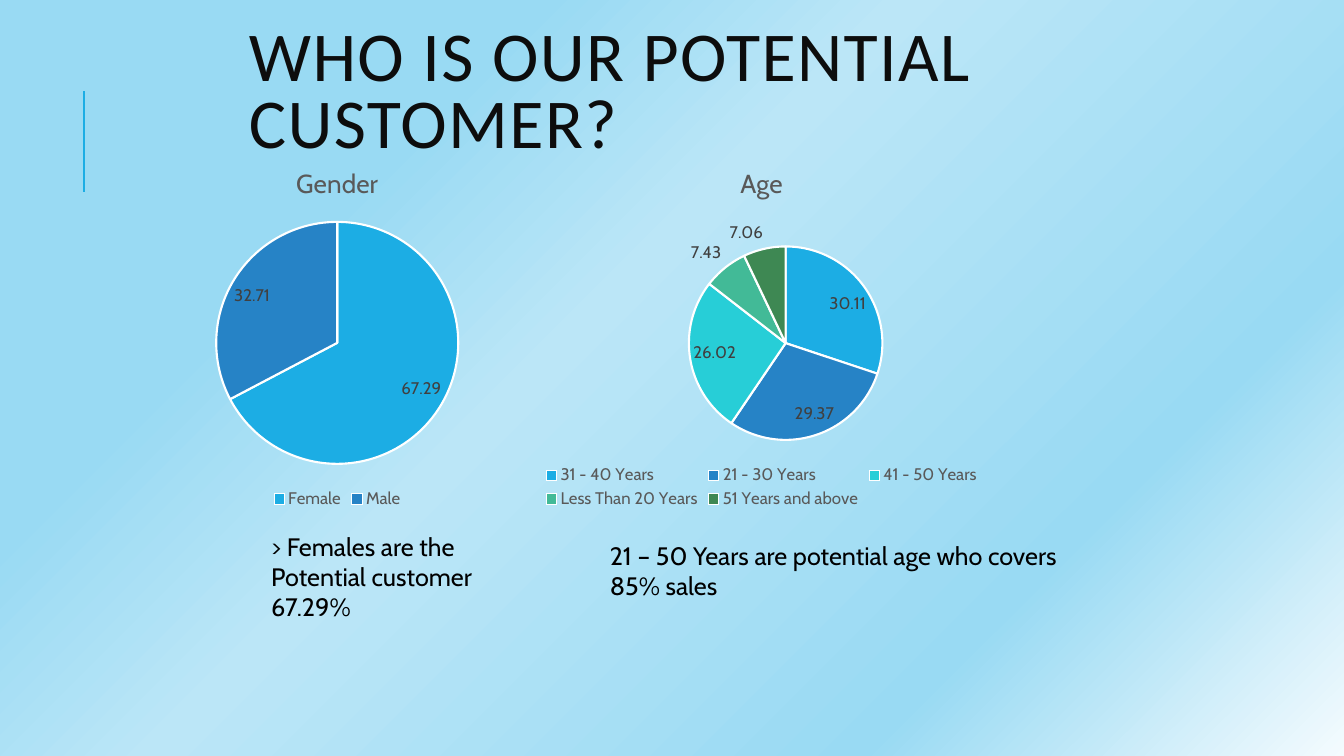
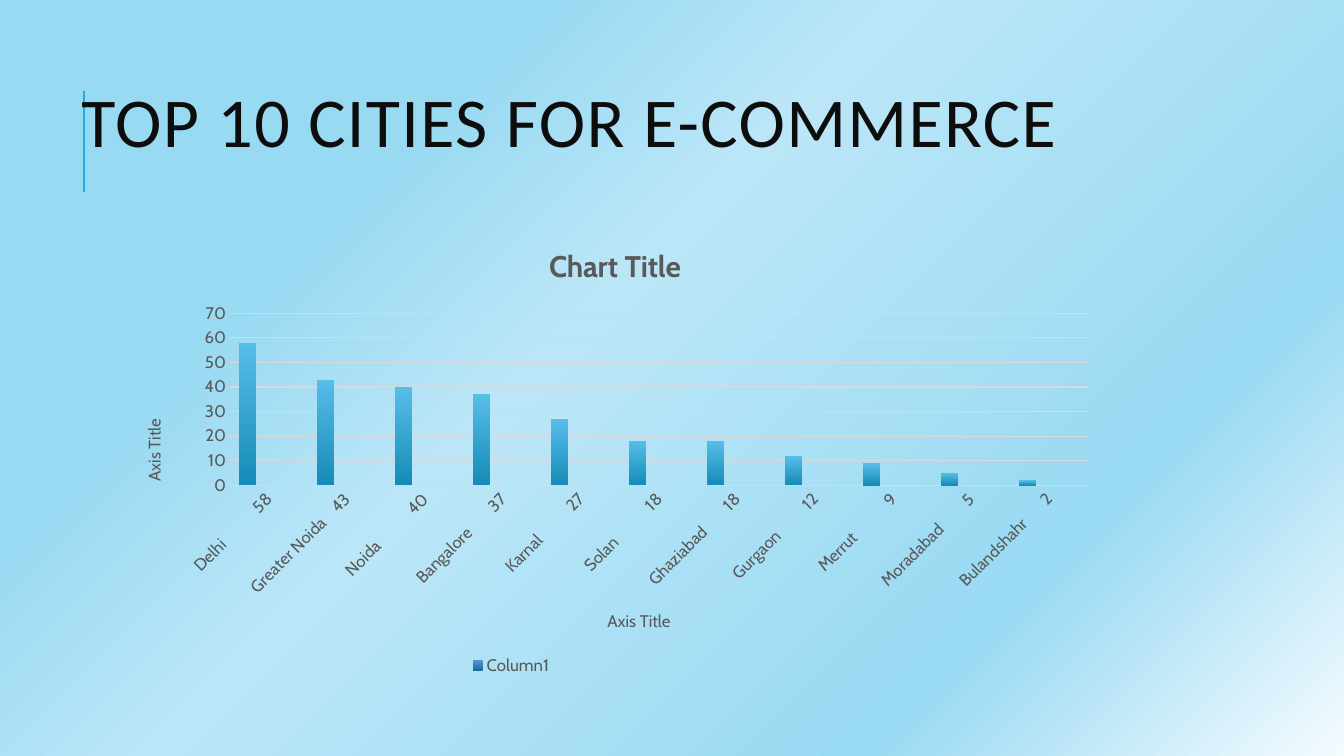
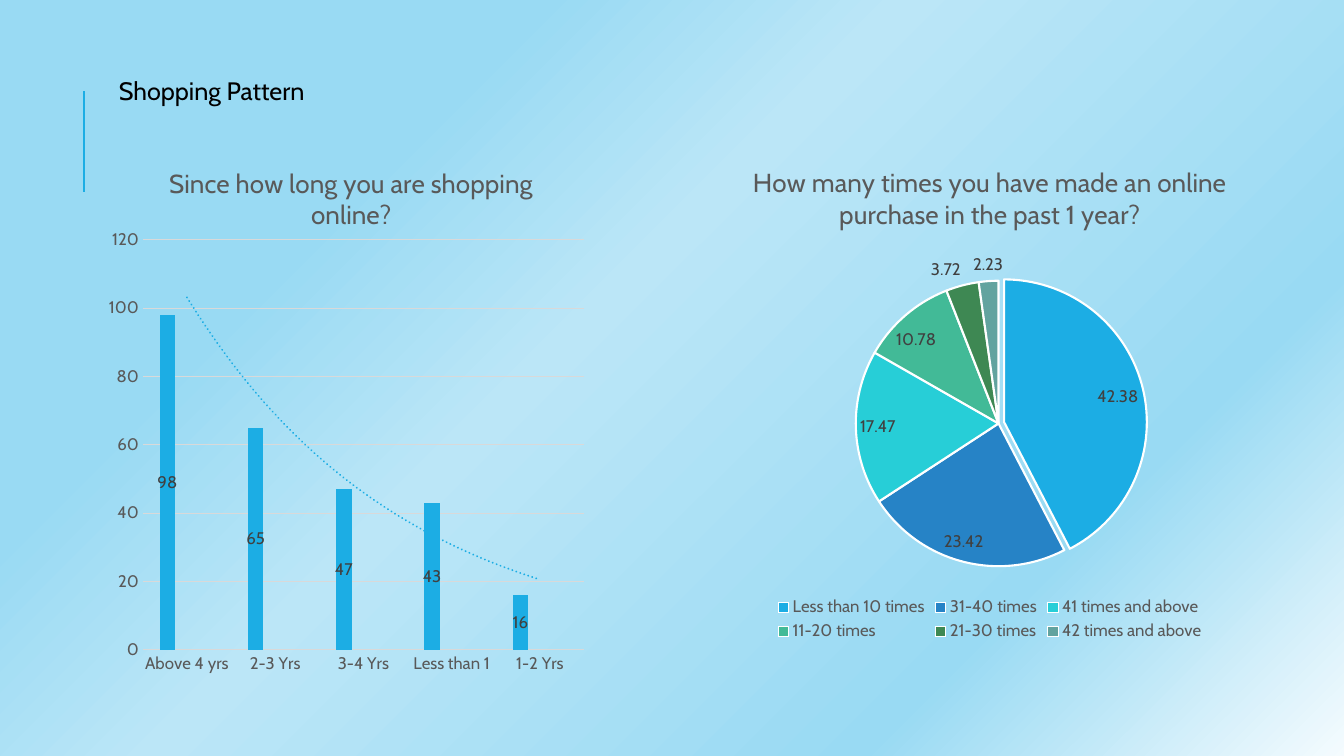
from lxml.etree import SubElement
from pptx import Presentation
from pptx.chart.data import CategoryChartData
from pptx.dml.color import RGBColor
from pptx.enum.chart import XL_CHART_TYPE as ChartType
from pptx.enum.chart import XL_LABEL_POSITION as LabelPosition
from pptx.enum.chart import XL_LEGEND_POSITION as LegendPosition
from pptx.enum.chart import XL_TICK_MARK as TickMark
from pptx.enum.shapes import MSO_CONNECTOR as Connector
from pptx.enum.text import MSO_ANCHOR as Anchor
from pptx.enum.text import MSO_AUTO_SIZE as AutoSize
from pptx.oxml import parse_xml
from pptx.oxml.ns import nsdecls, qn
from pptx.util import Inches, Pt

COLORS = {
    "accent": "1CADE4",
    "title": "0D0D0D",
    "text": "000000",
    "chart_text": "595959",
    "label": "404040",
    "grid": "D9D9D9",
    "white": "FFFFFF",
}
SLICES = ["1CADE4", "2683C6", "27CED7", "42BA97", "3E8853", "62A39F"]
BAR_GRADIENTS = [("57BDE9", "168BB7"), ("5598CF", "1E699F"), ("5AD7DE", "1FA5AD")]
BACKGROUND = [(0, "F4FBFE"), (23, "99DAF3"), (57, "BBE6F7"), (74, "99DAF3")]
CITIES = {
    "Delhi": 58, "Greater Noida": 43, "Noida": 40, "Bangalore": 37,
    "Karnal": 27, "Solan": 18, "Ghaziabad": 18, "Gurgaon": 12,
    "Merrut": 9, "Moradabad": 5, "Bulandshahr": 2,
}
GENDERS = {"Female": 67.29, "Male": 32.71}
AGES = {
    "31 - 40 Years": 30.11, "21 - 30 Years": 29.37, "41 - 50 Years": 26.02,
    "Less Than 20 Years": 7.43, "51 Years and above": 7.06,
}
YEARS_ONLINE = {"Above 4 yrs": 98, "2-3 Yrs": 65, "3-4 Yrs": 47, "Less than 1": 43, "1-2 Yrs": 16}
PURCHASES = {
    "Less than 10 times": 42.38, "31-40 times": 23.42, "41 times and above": 17.47,
    "11-20 times": 10.78, "21-30 times": 3.72, "42 times and above": 2.23,
}


def rgb(value):
    return RGBColor.from_string(COLORS.get(value, value))


def manual_layout(**settings):
    layout = parse_xml(f"<c:layout {nsdecls('c')}><c:manualLayout/></c:layout>")
    for name, value in settings.items():
        SubElement(layout[0], qn(f"c:{name}")).set("val", str(value))
    return layout


class DeckBuilder:
    body_font = "Cabin"
    title_font = "Calibri"

    def __init__(self):
        self.deck = Presentation()
        self.deck.slide_width, self.deck.slide_height = Inches(13.33), Inches(7.5)
        self.page = None
        self.paint_background()

    def paint_background(self):
        master = self.deck.slide_master
        master.background.fill.gradient()
        default = master.element.xpath("./p:cSld/p:bg/p:bgPr/a:gradFill")[0]
        stops = "".join(
            f'<a:gs pos="{position * 1000}"><a:srgbClr val="{color}"/></a:gs>'
            for position, color in BACKGROUND
        )
        gradient = parse_xml(
            f'<a:gradFill {nsdecls("a")} rotWithShape="1"><a:gsLst>{stops}</a:gsLst>'
            '<a:path path="circle"><a:fillToRect l="100000" t="100000"/></a:path></a:gradFill>'
        )
        default.getparent().replace(default, gradient)

    def add_page(self):
        self.page = self.deck.slides.add_slide(self.deck.slide_layouts[6])
        rule = self.page.shapes.add_connector(
            Connector.STRAIGHT, Inches(0.83), Inches(1.9), Inches(0.83), Inches(0.9)
        )
        rule.line.color.rgb = rgb("accent")
        rule.line.width = Pt(1.5)
        SubElement(rule.element.spPr, qn("a:effectLst"))

    def style(self, font, size, color, name=None, bold=False):
        font.name = name or self.body_font
        font.size = Pt(size)
        font.bold = bold
        font.color.rgb = rgb(color)

    def add_title(self, text, left, top):
        box = self.page.shapes.add_textbox(Inches(left), Inches(top), Inches(10.29), Inches(1.53))
        frame = box.text_frame
        frame.word_wrap = True
        frame.vertical_anchor = Anchor.MIDDLE
        frame.text = text
        para = frame.paragraphs[0]
        para.line_spacing = 0.8
        span = para.runs[0]
        self.style(span.font, 50, "title", self.title_font)
        span.font._element.set("spc", "100")

    def add_text(self, text, left, top, width, height):
        box = self.page.shapes.add_textbox(Inches(left), Inches(top), Inches(width), Inches(height))
        frame = box.text_frame
        frame.word_wrap = False
        frame.auto_size = AutoSize.SHAPE_TO_FIT_TEXT
        frame.text = text
        for para in frame.paragraphs:
            self.style(para.runs[0].font, 18, "text")

    def caption(self, frame, text, size, bold=False):
        frame.text = text
        self.style(frame.paragraphs[0].runs[0].font, size, "chart_text", bold=bold)

    def add_chart(self, kind, title, values, series_names, area, title_size=18.6, bold=False):
        data = CategoryChartData()
        data.categories = list(values)
        data.add_series(series_names[0], list(values.values()))
        for name in series_names[1:]:
            data.add_series(name, [None] * len(values))
        frame = self.page.shapes.add_chart(kind, *map(Inches, area), data)
        chart = frame.chart
        self.style(chart.font, 10, "text")
        chart.has_title = True
        self.caption(chart.chart_title.text_frame, title, title_size, bold)
        chart.chart_title.include_in_layout = False
        chart.has_legend = False
        return chart

    def add_legend(self, chart):
        chart.has_legend = True
        chart.legend.position = LegendPosition.BOTTOM
        chart.legend.include_in_layout = False
        self.style(chart.legend.font, 12, "chart_text")

    def label_values(self, series, position):
        labels = series.data_labels
        labels.show_value = True
        labels.position = position
        self.style(labels.font, 12, "label")

    def add_pie(self, title, values, area, series_name=None, explosion=0):
        chart = self.add_chart(ChartType.PIE, title, values, [series_name or title], area)
        self.add_legend(chart)
        chart.plots[0].vary_by_categories = True
        series = chart.plots[0].series[0]
        for index, color in enumerate(SLICES[:len(values)]):
            look = series.points[index].format
            look.fill.solid()
            look.fill.fore_color.rgb = rgb(color)
            look.line.color.rgb = rgb("white")
            look.line.width = Pt(1.5)
        self.label_values(series, LabelPosition.BEST_FIT)
        if explosion:
            first = series._element.xpath("./c:dPt/c:spPr")[0]
            first.addprevious(parse_xml(f'<c:explosion {nsdecls("c")} val="{explosion}"/>'))

    def add_columns(self, title, values, names, area, gap, overlap, **title_style):
        chart = self.add_chart(ChartType.COLUMN_CLUSTERED, title, values, names, area, **title_style)
        plot = chart.plots[0]
        plot.vary_by_categories = False
        plot.gap_width, plot.overlap = gap, overlap
        for axis in (chart.category_axis, chart.value_axis):
            axis.major_tick_mark = axis.minor_tick_mark = TickMark.NONE
            self.style(axis.tick_labels.font, 12, "chart_text")
        chart.category_axis.format.line.color.rgb = rgb("grid")
        chart.category_axis.format.line.width = Pt(0.75)
        chart.value_axis.format.line.fill.background()
        grid = chart.value_axis.major_gridlines.format.line
        grid.color.rgb = rgb("grid")
        grid.width = Pt(0.75)
        return chart

    def add_axis_titles(self, chart, text):
        for axis in (chart.category_axis, chart.value_axis):
            self.caption(axis.axis_title.text_frame, text, 12)
        upright = chart.value_axis.axis_title._element.xpath(".//a:bodyPr")[0]
        upright.set("rot", "-5400000")
        upright.set("vert", "horz")

    def add_trend(self, series):
        trend = parse_xml(
            f'<c:trendline {nsdecls("c", "a")}><c:spPr><a:ln w="19050" cap="rnd"><a:solidFill>'
            f'<a:srgbClr val="{COLORS["accent"]}"/></a:solidFill><a:prstDash val="sysDot"/></a:ln></c:spPr>'
            '<c:trendlineType val="exp"/><c:dispRSqr val="0"/><c:dispEq val="0"/></c:trendline>'
        )
        series._element.find(qn("c:cat")).addprevious(trend)


def customer_page(builder):
    builder.add_page()
    builder.add_title("WHO IS OUR POTENTIAL CUSTOMER?", 2.37, 0.18)
    builder.add_pie("Gender", GENDERS, (1.28, 1.47, 4.13, 3.62), "Series 1")
    builder.add_pie("Age", AGES, (5.08, 1.47, 4.95, 3.62))
    builder.add_text("> Females are the\nPotential customer\n67.29%", 2.59, 5.22, 2.49, 1.01)
    builder.add_text("21 – 50 Years are potential age who covers\n85% sales", 5.95, 5.31, 5.46, 0.71)


def cities_page(builder):
    builder.add_page()
    builder.add_title("TOP 10 CITIES FOR E-COMMERCE", 0.71, 0.5)
    values = {f"{city:<17}{count:>2}": count for city, count in CITIES.items()}
    chart = builder.add_columns(
        "Chart Title", values, ["Series 1", "Column1", "Column2"],
        (1.21, 2.24, 9.78, 4.59), 100, -24, title_size=21.3, bold=True,
    )
    builder.add_axis_titles(chart, "Axis Title")
    chart.category_axis._element.xpath("./c:txPr/a:bodyPr")[0].set("rot", "-2700000")
    for series, colors in zip(chart.plots[0].series, BAR_GRADIENTS):
        fill = series.format.fill
        fill.gradient()
        fill.gradient_angle = 270
        for stop, color in zip(fill.gradient_stops, colors):
            stop.color.rgb = rgb(color)
    builder.add_legend(chart)
    position = chart.legend._element.find(qn("c:legendPos"))
    position.addnext(manual_layout(xMode="edge", yMode="edge", x=0.35, y=0.92))
    for index in (2, 0):
        position.addnext(parse_xml(
            f'<c:legendEntry {nsdecls("c")}><c:idx val="{index}"/><c:delete val="1"/></c:legendEntry>'
        ))


def pattern_page(builder):
    builder.add_page()
    builder.add_text("Shopping Pattern", 1.08, 0.7, 2.32, 0.4)
    chart = builder.add_columns(
        "Since how long you are shopping online?", YEARS_ONLINE,
        ["Series 1", "Series 2", "Series 3"], (1.08, 1.43, 4.81, 5.28), 219, -27,
    )
    for series, color in zip(chart.plots[0].series, SLICES):
        series.format.fill.solid()
        series.format.fill.fore_color.rgb = rgb(color)
        builder.label_values(series, LabelPosition.CENTER)
    builder.add_trend(chart.plots[0].series[0])
    plot_area = chart._chartSpace.chart.plotArea
    for layout in plot_area.findall(qn("c:layout")):
        plot_area.remove(layout)
    plot_area.insert(0, manual_layout(
        layoutTarget="inner", xMode="edge", yMode="edge", x=0.07, y=0.18, w=0.91, h=0.77
    ))
    builder.add_pie(
        "How many times you have made an online purchase in the past 1 year?",
        PURCHASES, (6.6, 1.43, 6.44, 4.97), explosion=4,
    )


def main():
    builder = DeckBuilder()
    customer_page(builder)
    cities_page(builder)
    pattern_page(builder)
    builder.deck.save("out.pptx")


if __name__ == "__main__":
    main()
